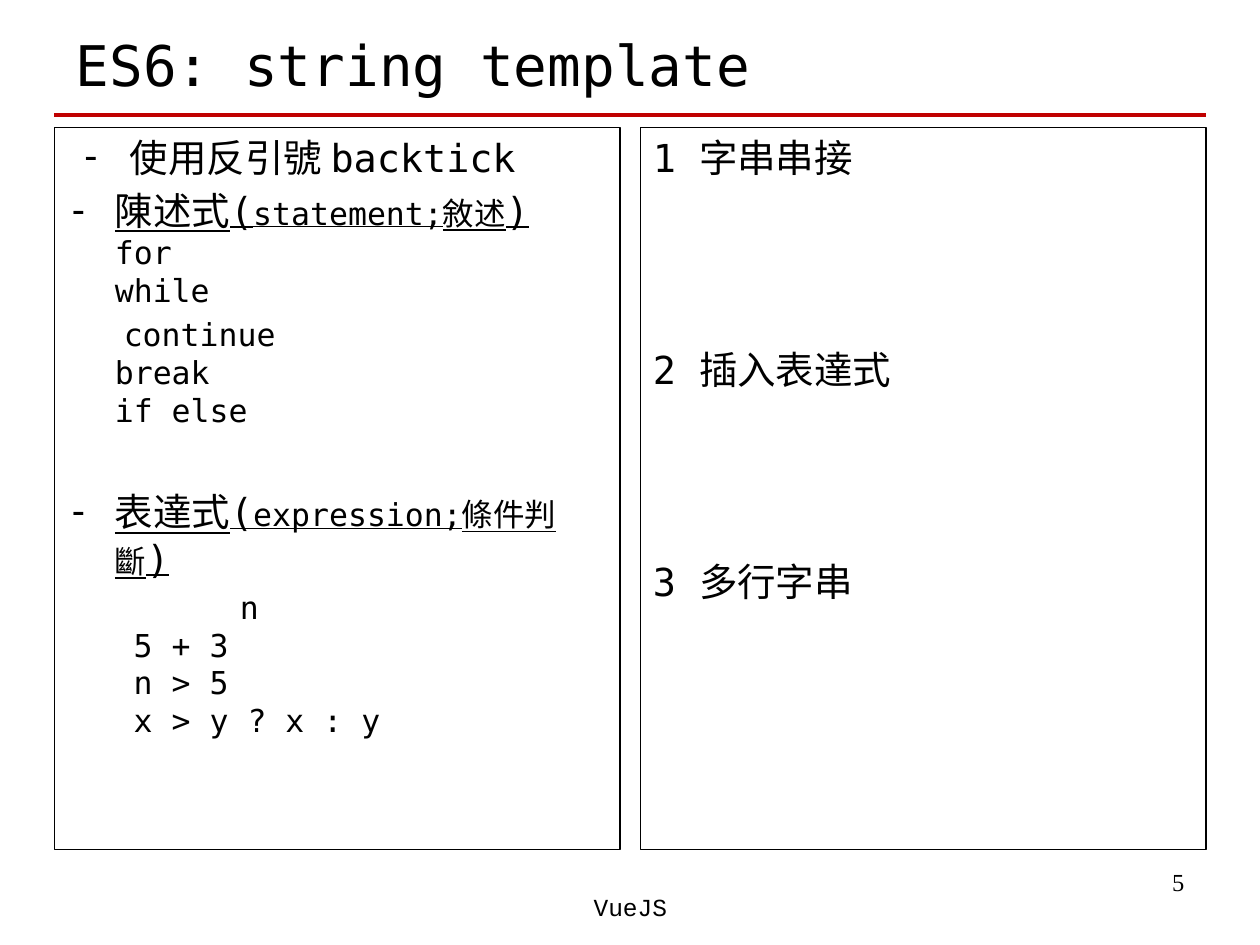
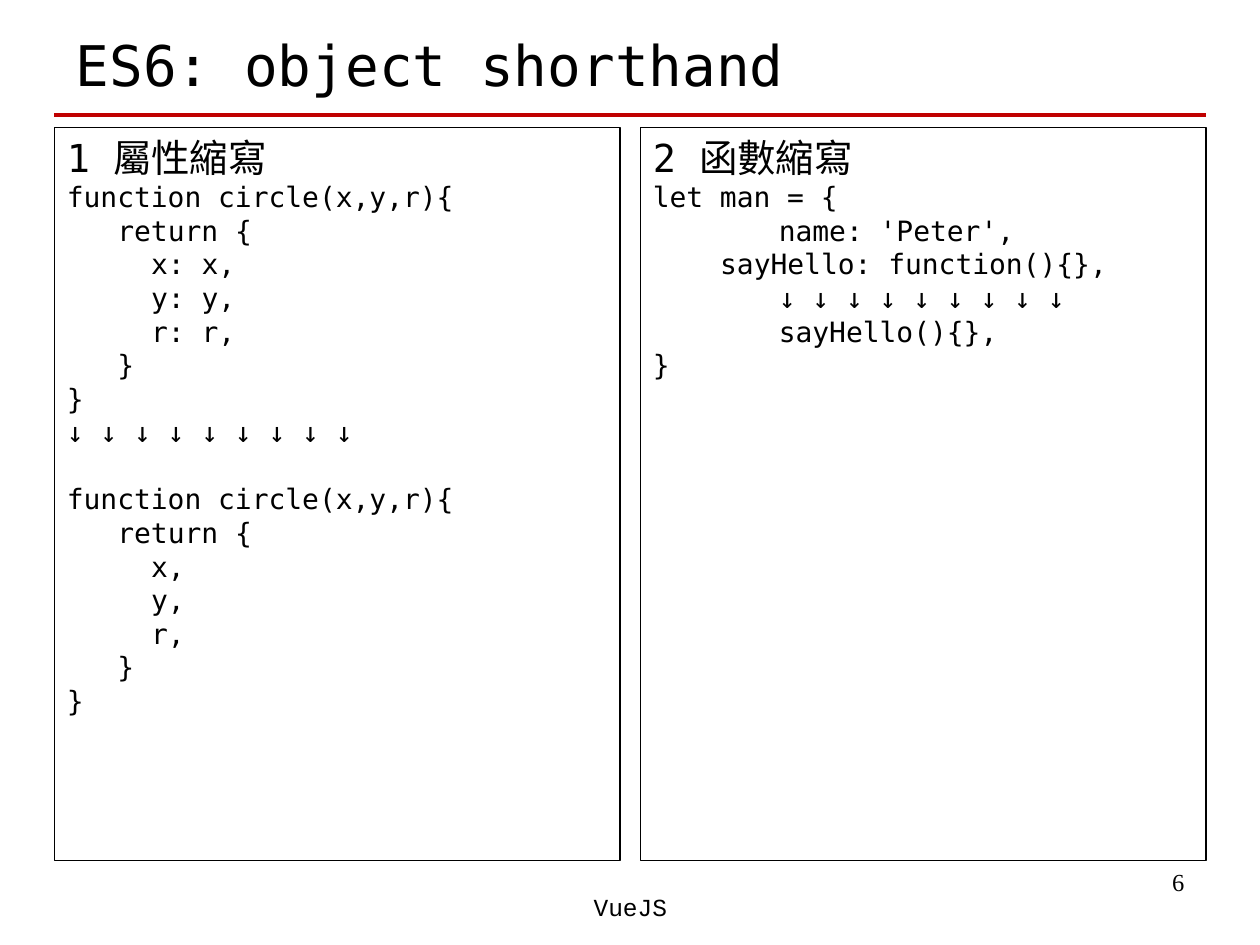
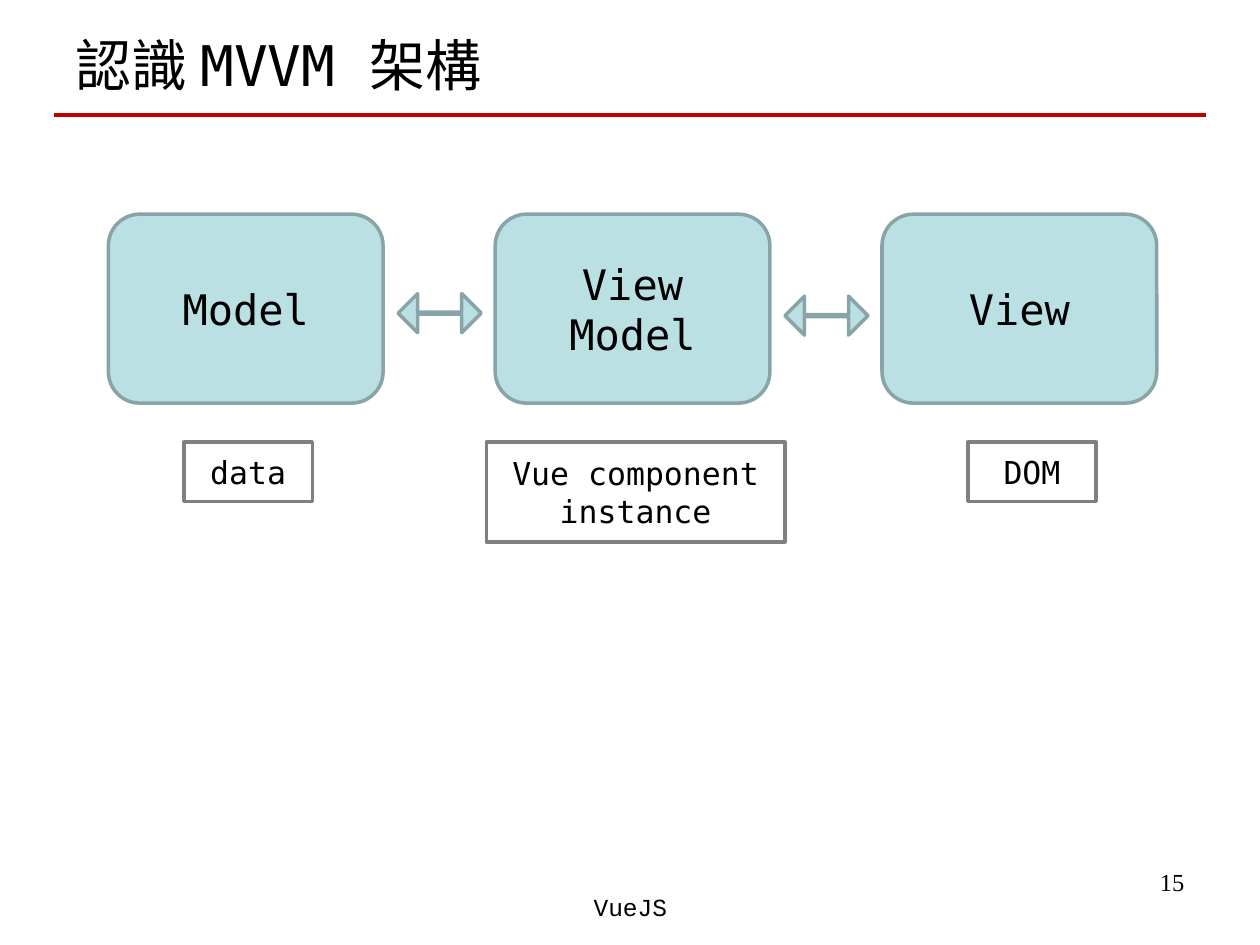
from lxml.etree import SubElement
from pptx import Presentation
from pptx.dml.color import RGBColor
from pptx.enum.shapes import MSO_CONNECTOR as CONN, MSO_SHAPE as SHAPE
from pptx.enum.text import MSO_ANCHOR as ANCHOR, MSO_AUTO_SIZE as AUTO, PP_ALIGN as ALIGN
from pptx.oxml.ns import qn
from pptx.util import Pt

COLORS = {"text": "000000", "rule": "C00000", "node": "BBE0E3",
          "node_line": "89A4A7", "caption_line": "808080"}
MONO = "DejaVu Sans Mono"
FOOTER = "VueJS"

HEAD = {"size": 22}
NEXT_HEAD = {"size": 22, "before": 95}
BULLET = {"size": 22, "margin": 27.4, "indent": -27.4, "before": 4, "bullet": "-"}
FIRST_BULLET = {"size": 22, "margin": 36, "indent": -28.8, "bullet": "-"}
KEYWORD = {"size": 18, "margin": 27.4}
EXPRESSION = {"size": 18, "margin": 38.2}
CODE_SIZE, CODE_COLUMN, TAB = 16, 9.63, 7.48
ARROWS = "↓ ↓ ↓ ↓ ↓ ↓ ↓ ↓ ↓"


def term(word, detail):
    return [(word + "(", 22, True), (detail, 18, True), (")", 22, True)]


def code(columns, text, before=0):
    return text, {"size": CODE_SIZE, "margin": round(columns * CODE_COLUMN, 2), "before": before}


def circle(fields, before=0):
    return [code(0, "function circle(x,y,r){", before), code(3, "return {"),
            *[code(5, field) for field in fields], code(3, "}"), code(0, "}")]


TEMPLATE_NOTES = [
    ("使用反引號 backtick", FIRST_BULLET),
    (term("陳述式", "statement;敘述"), BULLET),
    ("for", KEYWORD),
    ("while", KEYWORD),
    ("continue", KEYWORD | {"indent": 5.1, "before": 4}),
    ("break", KEYWORD),
    ("if else", KEYWORD),
    (term("表達式", "expression;條件判斷"), BULLET | {"before": 34}),
    ("n", EXPRESSION | {"indent": 60.7, "before": 4}),
    ("5 + 3", EXPRESSION),
    ("n > 5", EXPRESSION),
    ("x > y ? x : y", EXPRESSION),
]
TEMPLATE_USES = [("1 字串串接", HEAD), ("2 插入表達式", NEXT_HEAD), ("3 多行字串", NEXT_HEAD)]
PROPERTY_SHORTHAND = [("1 屬性縮寫", HEAD), *circle(["x: x,", "y: y,", "r: r,"]),
                      code(0, ARROWS), *circle(["x,", "y,", "r,"], before=19.2)]
FUNCTION_SHORTHAND = [
    ("2 函數縮寫", HEAD),
    code(0, "let man = {"),
    code(TAB, "name: 'Peter',"),
    code(4, "sayHello: function(){},"),
    code(TAB, ARROWS),
    code(TAB, "sayHello(){},"),
    code(0, "}"),
]
PANEL_SLIDES = [
    ("ES6: string template", 5, 412.6, [TEMPLATE_NOTES, TEMPLATE_USES]),
    ("ES6: object shorthand", 6, 419, [PROPERTY_SHORTHAND, FUNCTION_SHORTHAND]),
]
MVVM = [
    (["Model"], ["data"], (105.1, 73.4, 33.8)),
    (["View", "Model"], ["Vue component", "instance"], (277.9, 170.6, 56.9)),
    (["View"], ["DOM"], (553, 73.4, 33.8)),
]
NODE_LEFT, NODE_STEP, NODE_TOP, NODE_W, NODE_H = 61.9, 221.05, 122.4, 157, 108
CAPTION_TOP = 252.7
ARROW_LEFT, ARROW_TOPS, ARROW_W, ARROW_H = 227.5, [167.8, 169.2], 47.5, 22.3


def rgb(name):
    return RGBColor.from_string(COLORS[name])


def place(sp, *box):
    for name, value in zip(("left", "top", "width", "height"), box):
        setattr(sp, name, Pt(value))


def style_line(sp, color, width):
    sp.line.color.rgb = rgb(color)
    sp.line.width = Pt(width)


def write(tf, lines, align=ALIGN.LEFT, anchor=ANCHOR.TOP, font=MONO):
    frame = {"word_wrap": True, "auto_size": AUTO.NONE, "vertical_anchor": anchor,
             "margin_left": Pt(7.2), "margin_right": Pt(7.2),
             "margin_top": Pt(3.6), "margin_bottom": Pt(3.6)}
    for name, value in frame.items():
        setattr(tf, name, value)
    for i, (content, fmt) in enumerate(lines):
        p = tf.add_paragraph() if i else tf.paragraphs[0]
        p.alignment = align
        p.space_before = Pt(fmt.get("before", 0))
        pPr = p._p.get_or_add_pPr()
        pPr.set("marL", str(Pt(fmt.get("margin", 0))))
        pPr.set("indent", str(Pt(fmt.get("indent", 0))))
        if "bullet" in fmt:
            SubElement(pPr, qn("a:buFont")).set("typeface", font)
            SubElement(pPr, qn("a:buChar")).set("char", fmt["bullet"])
        else:
            SubElement(pPr, qn("a:buNone"))
        runs = [(content, fmt["size"], False)] if isinstance(content, str) else content
        for text, size, underline in runs:
            r = p.add_run()
            r.text = text
            for name, value in {"name": font, "size": Pt(size), "underline": underline}.items():
                setattr(r.font, name, value)
            r.font.color.rgb = rgb("text")


def add_label(s, text, box, align, font):
    sp = s.shapes.add_textbox(*map(Pt, box))
    write(sp.text_frame, [(text, {"size": 14})], align, font=font)


def add_slide(prs, layout, title, number):
    s = prs.slides.add_slide(prs.slide_layouts[layout])
    place(s.shapes.title, 36, 9.4, 648, 54.7)
    write(s.shapes.title.text_frame, [(title, {"size": 32})], anchor=ANCHOR.MIDDLE)
    rule = s.shapes.add_connector(CONN.STRAIGHT, Pt(31), Pt(65.5), Pt(689), Pt(65.5))
    style_line(rule, "rule", 2.25)
    SubElement(rule._element.spPr, qn("a:effectLst"))
    add_label(s, str(number), (516.2, 491.8, 167.8, 37.4), ALIGN.RIGHT, "Times New Roman")
    add_label(s, FOOTER, (246.2, 506.2, 228.2, 36), ALIGN.CENTER, "Courier New")
    return s


def add_box(s, kind, box, line, fill=None, words=(), size=18):
    sp = s.shapes.add_shape(kind, *map(Pt, box))
    sp.shadow.inherit = False
    if fill:
        sp.fill.solid()
        sp.fill.fore_color.rgb = rgb(fill)
    else:
        sp.fill.background()
    style_line(sp, line, 2)
    if words:
        write(sp.text_frame, [(word, {"size": size}) for word in words],
              ALIGN.CENTER, ANCHOR.MIDDLE)
    return sp


def add_panel_slide(prs, title, number, height, panels):
    s = add_slide(prs, 3, title, number)
    for i, lines in enumerate(panels):
        panel = s.placeholders[i + 1]
        place(panel, 31 + i * 334.8, 72.7, 323.3, height)
        style_line(panel, "text", 0.75)
        write(panel.text_frame, lines)


def add_mvvm_slide(prs):
    s = add_slide(prs, 5, "認識 MVVM 架構", 15)
    for i, (words, caption, (left, width, height)) in enumerate(MVVM):
        node = (NODE_LEFT + i * NODE_STEP, NODE_TOP, NODE_W, NODE_H)
        add_box(s, SHAPE.ROUNDED_RECTANGLE, node, "node_line", "node", words, 24)
        add_box(s, SHAPE.RECTANGLE, (left, CAPTION_TOP, width, height),
                "caption_line", words=caption)
    for i, top in enumerate(ARROW_TOPS):
        box = (ARROW_LEFT + i * NODE_STEP, top, ARROW_W, ARROW_H)
        arrow = add_box(s, SHAPE.LEFT_RIGHT_ARROW, box, "node_line", "node")
        arrow.adjustments[0] = 0.05


def main():
    prs = Presentation()
    prs.slide_width, prs.slide_height = Pt(720), Pt(540)
    for content in PANEL_SLIDES:
        add_panel_slide(prs, *content)
    add_mvvm_slide(prs)
    prs.save("out.pptx")


if __name__ == "__main__":
    main()
